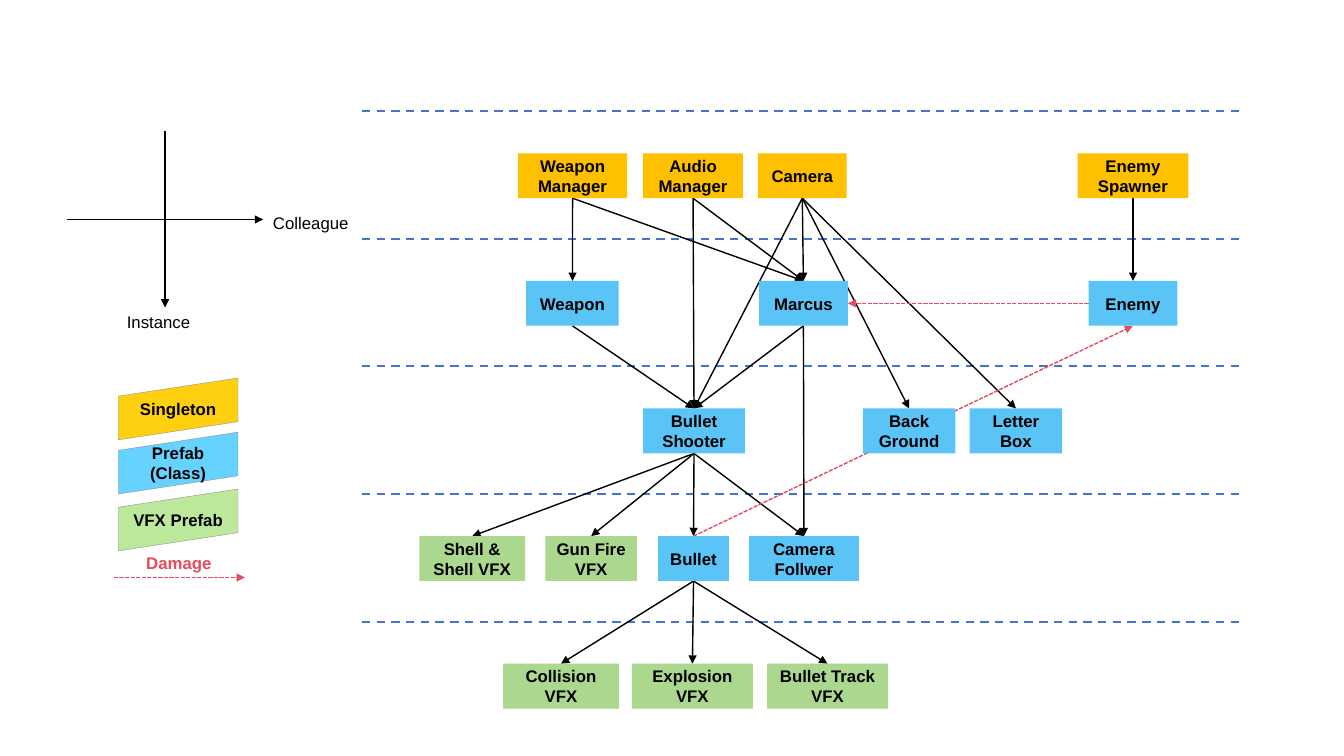
from dataclasses import dataclass

from lxml.etree import SubElement as Sub
from pptx import Presentation
from pptx.dml.color import RGBColor as Rgb
from pptx.enum.dml import MSO_LINE as Dash
from pptx.enum.shapes import MSO_CONNECTOR as Conn, MSO_SHAPE as Form
from pptx.enum.text import MSO_ANCHOR as Anchor, PP_ALIGN as Align
from pptx.oxml.ns import qn
from pptx.util import Pt


@dataclass(frozen=True)
class Theme:
    font: str = "Arial"
    size: float = 12
    ink: str = "000000"
    gold: str = "FFC000"
    blue: str = "5AC4F6"
    green: str = "ACD78E"
    red: str = "E54C5E"
    rule: str = "4874CB"
    edge: str = "8C8C8C"
    key_gold: str = "FFD010"
    key_blue: str = "66D2FF"
    key_green: str = "BCE89C"
    thin: float = 1
    thick: float = 1.5


T = Theme()
PITCH = 91.15
TOP, LEFT, BOTTOM, RIGHT = range(4)

LEVELS = [
    [("Weapon Manager", 370.1, 77.8, T.gold), ("Audio Manager", 459.4, 71.3, T.gold),
     ("Camera", 541.4, 63.4, T.gold), ("Enemy Spawner", 769.7, 79.2, T.gold)],
    [("Weapon", 375.8, 66.2, T.blue), ("Marcus", 542.2, 63.4, T.blue),
     ("Enemy", 777.6, 63.4, T.blue)],
    [("Bullet Shooter", 459.4, 72.7, T.blue), ("Back\nGround", 616.3, 66.2, T.blue),
     ("Letter Box", 692.6, 66.2, T.blue)],
    [("Shell & Shell VFX", 299.5, 75.6, T.green), ("Gun Fire VFX", 389.5, 65.5, T.green),
     ("Bullet", 470.2, 50.4, T.blue), ("Camera Follwer", 535, 78.5, T.blue)],
    [("Collision\nVFX", 359.3, 82.8, T.green), ("Explosion VFX", 451.4, 86.4, T.green),
     ("Bullet Track VFX", 547.9, 86.4, T.green)],
]

CALLS = {
    "Weapon Manager": ["Weapon", "Marcus"],
    "Audio Manager": ["Bullet Shooter", "Marcus"],
    "Camera": ["Bullet Shooter", "Marcus", "Back\nGround", "Letter Box"],
    "Enemy Spawner": ["Enemy"],
    "Weapon": ["Bullet Shooter"],
    "Marcus": ["Bullet Shooter", "Camera Follwer"],
    "Bullet Shooter": ["Shell & Shell VFX", "Gun Fire VFX", "Bullet", "Camera Follwer"],
    "Bullet": ["Collision\nVFX", "Explosion VFX", "Bullet Track VFX"],
}

HITS = [("Bullet", TOP, "Enemy", BOTTOM), ("Enemy", LEFT, "Marcus", RIGHT)]

KEYS = [("Singleton", 270, T.key_gold), ("Prefab (Class)", 308.7, T.key_blue),
        ("VFX Prefab", 349.3, T.key_green)]


def write(shape, text, color=T.ink, bold=True, align=Align.CENTER):
    frame = shape.text_frame
    frame.word_wrap = True
    for i, part in enumerate(text.split("\n")):
        para = frame.add_paragraph() if i else frame.paragraphs[0]
        para.alignment = align
        run = para.add_run()
        run.text = part
        run.font.name = T.font
        run.font.size = Pt(T.size)
        run.font.bold = bold
        run.font.color.rgb = Rgb.from_string(color)


def paint(shape, fill):
    shape.shadow.inherit = False
    shape.fill.solid()
    shape.fill.fore_color.rgb = Rgb.from_string(fill)
    shape.text_frame.vertical_anchor = Anchor.MIDDLE


def box(slide, text, x, y, w, fill):
    shape = slide.shapes.add_shape(Form.RECTANGLE, Pt(x), Pt(y), Pt(w), Pt(32.1))
    paint(shape, fill)
    shape.line.fill.background()
    write(shape, text)
    return shape


def slant(slide, text, y, fill):
    x, w, h, rise = 84.5, 85.5, 31.2, 13
    pen = slide.shapes.build_freeform(Pt(x), Pt(y + rise))
    pen.add_line_segments([(Pt(x + w), Pt(y)), (Pt(x + w), Pt(y + h)),
                           (Pt(x), Pt(y + h + rise))])
    shape = pen.convert_to_shape()
    paint(shape, fill)
    shape.line.color.rgb = Rgb.from_string(T.edge)
    shape.line.width = Pt(0.25)
    write(shape, text)


def label(slide, text, x, y, w, **look):
    shape = slide.shapes.add_textbox(Pt(x), Pt(y), Pt(w), Pt(22))
    write(shape, text, **look)


def line(slide, x1, y1, x2, y2, color=T.ink, width=T.thin, dash=None, arrow=True):
    wire = slide.shapes.add_connector(Conn.STRAIGHT, Pt(x1), Pt(y1), Pt(x2), Pt(y2))
    wire.line.color.rgb = Rgb.from_string(color)
    wire.line.width = Pt(width)
    if dash:
        wire.line.dash_style = dash
    props = wire._element.spPr
    if arrow:
        Sub(props.find(qn("a:ln")), qn("a:tailEnd"), type="triangle")
    Sub(props, qn("a:effectLst"))
    return wire


def link(slide, start, out, end, into, **look):
    wire = line(slide, 0, 0, 0, 0, **look)
    wire.begin_connect(start, out)
    wire.end_connect(end, into)


def main():
    deck = Presentation()
    deck.slide_width, deck.slide_height = Pt(960), Pt(540)
    slide = deck.slides.add_slide(deck.slide_layouts[6])
    hit = {"color": T.red, "dash": Dash.SQUARE_DOT}

    for i in range(len(LEVELS)):
        y = 79.4 + i * PITCH
        line(slide, 258.5, y, 885, y, T.rule, T.thick, Dash.DASH, arrow=False)

    nodes = {}
    for i, level in enumerate(LEVELS):
        for name, x, w, fill in level:
            nodes[name] = box(slide, name, x, 109.5 + i * PITCH, w, fill)

    for start, ends in CALLS.items():
        for end in ends:
            link(slide, nodes[start], BOTTOM, nodes[end], TOP)
    for start, out, end, into in HITS:
        link(slide, nodes[start], out, nodes[end], into, **hit)

    tree = slide.shapes._spTree
    for node in nodes.values():
        tree.append(node._element)

    line(slide, 47.7, 156.8, 188, 156.8)
    line(slide, 117.9, 93.8, 117.9, 219.6)
    label(slide, "Instance", 83.5, 218.9, 68.4, bold=False, align=Align.LEFT)
    label(slide, "Colleague", 187.9, 148.5, 82.8, bold=False, align=Align.LEFT)

    for key in KEYS:
        slant(slide, *key)
    label(slide, "Damage", 93.6, 391.3, 68.4, color=T.red)
    line(slide, 81.4, 412.5, 175, 412.5, **hit)

    deck.save("out.pptx")


main()
